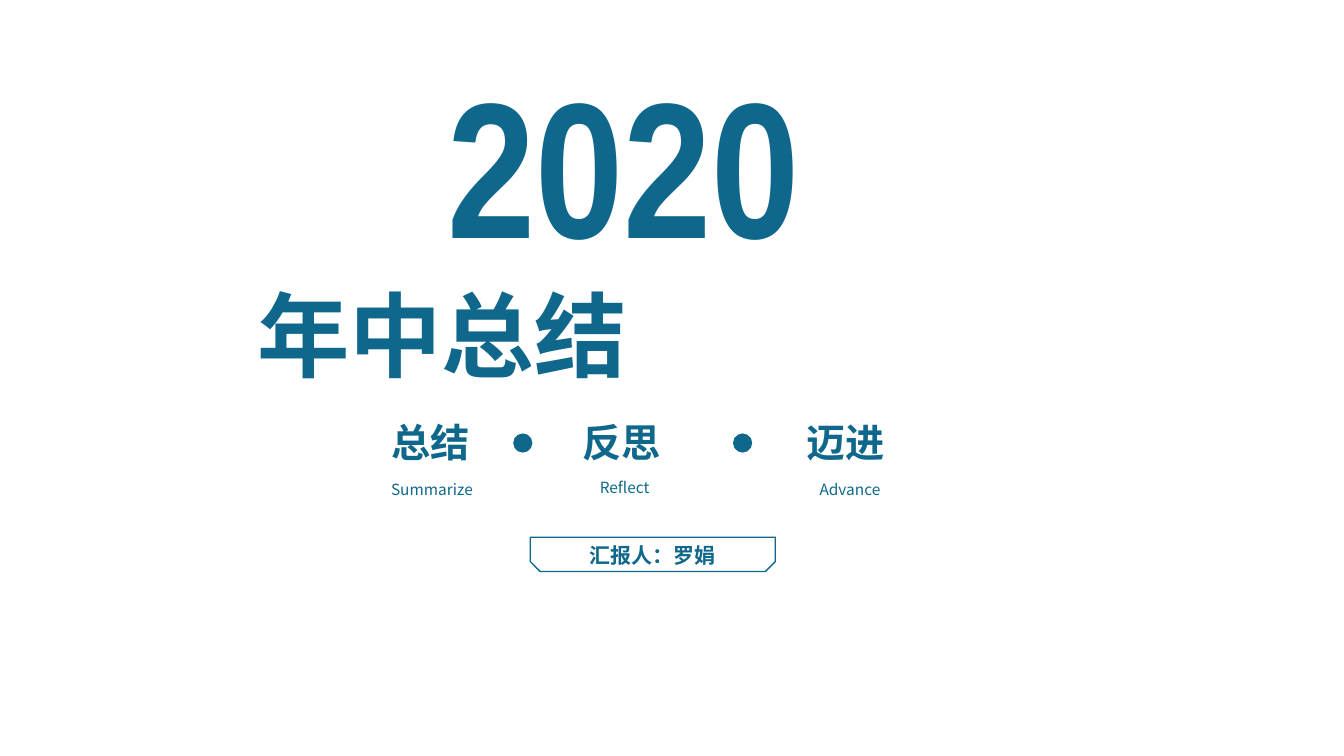
"""Build the cover slide of a 2020 mid-year review."""
import pptx
import pptx.dml.color
import pptx.enum.shapes
import pptx.enum.text
import pptx.oxml.ns
import pptx.util
from dataclasses import dataclass
from lxml import etree

Inches = pptx.util.Inches
ALIGN = pptx.enum.text.PP_ALIGN
SHAPE = pptx.enum.shapes.MSO_SHAPE


@dataclass(frozen=True)
class Theme:
    blue = pptx.dml.color.RGBColor.from_string("0F688B")
    cjk = "Noto Sans CJK SC"
    narrow = "Arial Narrow"
    year = 138
    title = 66
    keyword = 28
    reporter = 15
    caption = 11
    line = 1


TITLE = ("年中总结", (2.55, 2.76, 8.25, 1.11))
YEAR = ("2020", (4.44, 0.45, 3.87, 2.32))
REPORTER = ("汇报人：罗娟", (5.74, 5.33, 1.46, 0.35))
FRAME = (5.26, 5.33, 2.43, 0.34)
KEYWORDS = [
    ("总结", 3.78, "Summarize", (3.78, 4.71, 1.02, 0.29)),
    ("反思", 5.68, "Reflect", (5.85, 4.69, 0.71, 0.29)),
    ("迈进", 7.9, "Advance", (8.03, 4.71, 0.83, 0.29)),
]
KEYWORD_TOP, KEYWORD_W, KEYWORD_H = 4.1, 0.99, 0.57
DOT_LEFTS, DOT_SIZE = (5.09, 7.27), 0.19
DOT_TOP = KEYWORD_TOP + (KEYWORD_H - DOT_SIZE) / 2 + 0.01


def add_text(s, text, box, size, font=Theme.cjk, bold=True, align=ALIGN.LEFT, wrap=False):
    """Add one line of text; wrapped headings have no insets."""
    tf = s.shapes.add_textbox(*map(Inches, box)).text_frame
    tf.word_wrap = wrap
    tf.auto_size = pptx.enum.text.MSO_AUTO_SIZE.SHAPE_TO_FIT_TEXT
    if wrap:
        tf.margin_left = tf.margin_top = tf.margin_right = tf.margin_bottom = 0
    p = tf.paragraphs[0]
    p.text = text
    p.alignment = align
    p.font.size = pptx.util.Pt(size)
    p.font.bold = bold
    p.font.name = font
    p.font.color.rgb = Theme.blue
    props = p._p.pPr.find(pptx.oxml.ns.qn("a:defRPr"))
    etree.SubElement(props, pptx.oxml.ns.qn("a:ea"), typeface=Theme.cjk)


def add_shape(s, kind, box):
    """Add a preset shape without a shadow."""
    sp = s.shapes.add_shape(kind, *map(Inches, box))
    sp.shadow.inherit = False
    return sp


def main():
    """Lay out the slide and save it."""
    prs = pptx.Presentation()
    prs.slide_width, prs.slide_height = Inches(13.33), Inches(7.5)
    s = prs.slides.add_slide(prs.slide_layouts[6])

    add_text(s, *TITLE, Theme.title, align=ALIGN.JUSTIFY, wrap=True)
    add_text(s, *YEAR, Theme.year, Theme.narrow, align=ALIGN.JUSTIFY, wrap=True)

    frame = add_shape(s, SHAPE.SNIP_2_SAME_RECTANGLE, FRAME)
    frame.adjustments[0], frame.adjustments[1] = 0, 0.29
    frame.fill.background()
    frame.line.color.rgb = Theme.blue
    frame.line.width = pptx.util.Pt(Theme.line)
    add_text(s, *REPORTER, Theme.reporter, Theme.narrow, align=ALIGN.CENTER)

    for word, left, caption, caption_box in KEYWORDS:
        add_text(s, word, (left, KEYWORD_TOP, KEYWORD_W, KEYWORD_H), Theme.keyword)
        add_text(s, caption, caption_box, Theme.caption, bold=False)

    for left in DOT_LEFTS:
        dot = add_shape(s, SHAPE.OVAL, (left, DOT_TOP, DOT_SIZE, DOT_SIZE))
        dot.fill.solid()
        dot.fill.fore_color.rgb = Theme.blue
        dot.line.fill.background()

    prs.save("out.pptx")


if __name__ == "__main__":
    main()
